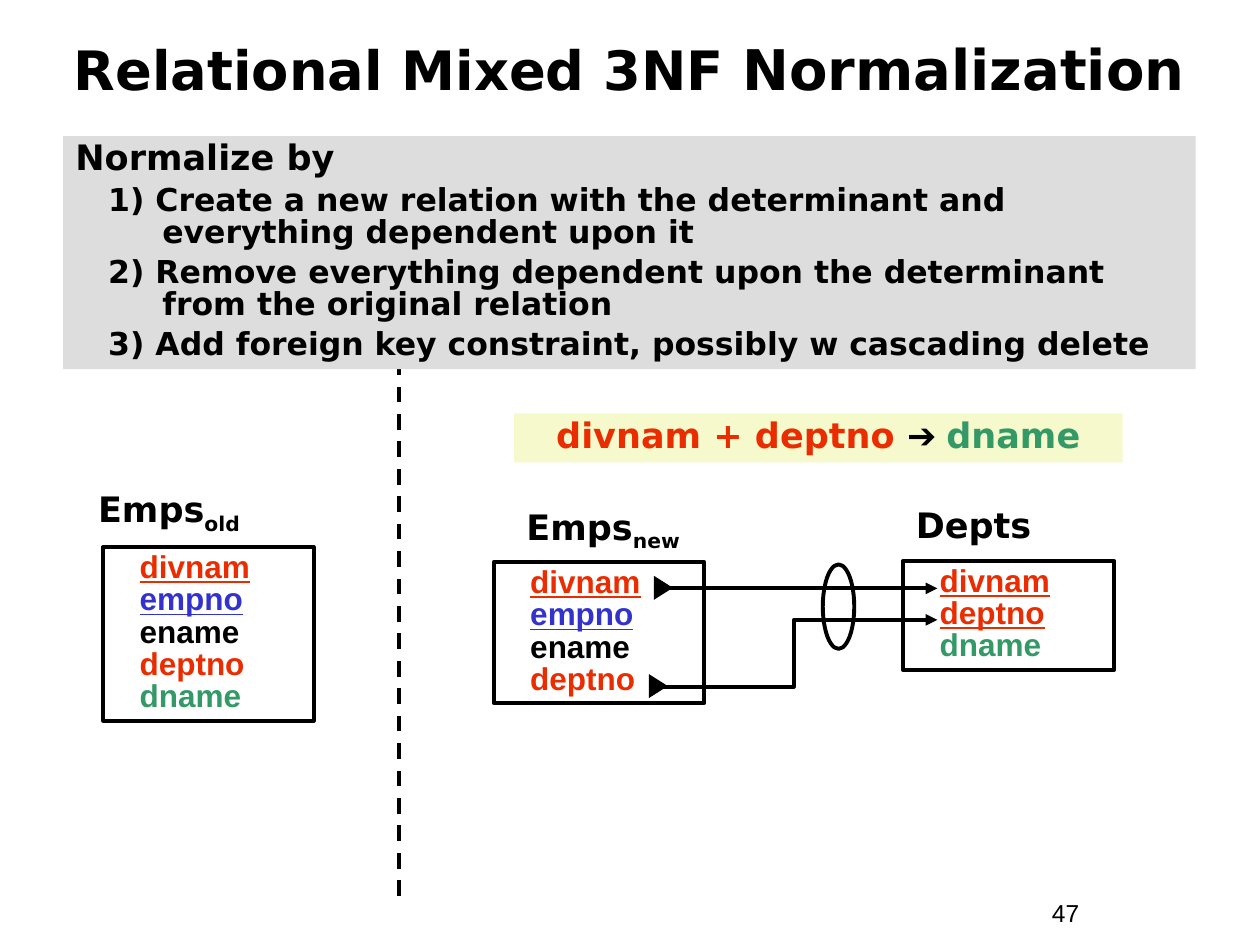
import pptx
import pptx.util
import pptx.dml.color
import pptx.enum.dml
import pptx.enum.shapes
import pptx.enum.text
import pptx.oxml

Inches = pptx.util.Inches
Pt = pptx.util.Pt
SHAPE = pptx.enum.shapes.MSO_SHAPE
CONNECTOR = pptx.enum.shapes.MSO_CONNECTOR
ANCHOR = pptx.enum.text.MSO_ANCHOR
ALIGN = pptx.enum.text.PP_ALIGN

HEADING_FONT, FIELD_FONT = "DejaVu Sans", "Arial"
BLACK, RED, BLUE, GREEN = "000000", "EA2D00", "3333CC", "339966"
LINE_WIDTH = 2.24
TIGHT = 0.85

# Each field: name, colour, whether it belongs to the key
DIVNAM = ("divnam", RED, True)
EMPNO = ("empno", BLUE, True)
ENAME = ("ename", BLACK, False)
DEPTNO = ("deptno", RED, False)
DEPTNO_KEY = ("deptno", RED, True)
DNAME = ("dname", GREEN, False)


def color(hex_value):
    return pptx.dml.color.RGBColor.from_string(hex_value)


def add_run(paragraph, text, size=18, font=HEADING_FONT, fill=BLACK,
            bold=True, underline=False, baseline=None):
    run = paragraph.add_run()
    run.text = text
    run.font.size = Pt(size)
    run.font.name = font
    run.font.bold = bold
    run.font.underline = underline
    run.font.color.rgb = color(fill)
    if baseline is not None:
        run.font._element.set("baseline", str(baseline * 1000))


def add_paragraph(frame, runs, align=ALIGN.LEFT, spacing=1.0, before=0,
                  margin=0, indent=0):
    """Runs are (text, format) pairs; the first call fills the empty paragraph."""
    first = frame.paragraphs[0]
    paragraph = frame.add_paragraph() if first.runs else first
    paragraph.alignment = align
    paragraph.line_spacing = spacing
    paragraph.space_before = Pt(before)
    properties = paragraph._p.get_or_add_pPr()
    properties.set("marL", str(Inches(margin)))
    properties.set("indent", str(Inches(indent)))
    for text, style in runs:
        add_run(paragraph, text, **style)


def prepare_frame(shape, anchor=ANCHOR.TOP):
    frame = shape.text_frame
    frame.word_wrap = True
    frame.vertical_anchor = anchor
    return frame


def add_label(slide, left, top, width, height, runs, anchor=ANCHOR.TOP, **layout):
    label = slide.shapes.add_textbox(*map(Inches, (left, top, width, height)))
    add_paragraph(prepare_frame(label, anchor), runs, **layout)


def add_figure(slide, kind, left, top, width, height, fill=None, outlined=False):
    figure = slide.shapes.add_shape(kind, *map(Inches, (left, top, width, height)))
    figure.shadow.inherit = False
    if fill:
        figure.fill.solid()
        figure.fill.fore_color.rgb = color(fill)
    else:
        figure.fill.background()
    if outlined:
        figure.line.color.rgb = color(BLACK)
        figure.line.width = Pt(LINE_WIDTH)
    else:
        figure.line.fill.background()
    return figure


def add_relation(slide, left, top, height, fields):
    box = add_figure(slide, SHAPE.RECTANGLE, left, top, 1.67, height, outlined=True)
    frame = prepare_frame(box)
    for name, fill, is_key in fields:
        style = dict(font=FIELD_FONT, fill=fill, underline=is_key)
        add_paragraph(frame, [(name, style)], spacing=TIGHT, margin=0.19)


def add_line(slide, kind, start, end, dashed=False, arrow=False):
    line = slide.shapes.add_connector(kind, *map(Inches, start + end))
    line.line.color.rgb = color(BLACK)
    line.line.width = Pt(LINE_WIDTH)
    if dashed:
        line.line.dash_style = pptx.enum.dml.MSO_LINE.DASH
    namespace = 'xmlns:a="http://schemas.openxmlformats.org/drawingml/2006/main"'
    if arrow:
        line.line._get_or_add_ln().append(
            pptx.oxml.parse_xml(f'<a:tailEnd {namespace} type="triangle"/>'))
    line._element.spPr.append(pptx.oxml.parse_xml(f"<a:effectLst {namespace}/>"))


def add_steps(slide):
    panel = add_figure(slide, SHAPE.RECTANGLE, 0.5, 1.08, 8.99, 1.85, fill="DDDDDD")
    frame = prepare_frame(panel)
    add_paragraph(frame, [("Normalize by", dict(size=20))], spacing=TIGHT, before=5)
    steps = [
        "1) Create a new relation with the determinant and everything dependent upon it",
        "2) Remove everything dependent upon the determinant from the original relation",
        "3) Add foreign key constraint, possibly w cascading delete",
    ]
    for step in steps:
        add_paragraph(frame, [(step, {})], spacing=TIGHT, before=4.5,
                      margin=0.69, indent=-0.43)


def add_dependency(slide):
    banner = add_figure(slide, SHAPE.RECTANGLE, 4.08, 3.28, 4.83, 0.39, fill="F6F9CB")
    runs = [("divnam + deptno ", dict(size=20, fill=RED)),
            ("\u2794 ", dict(size=20, font=FIELD_FONT)),
            ("dname", dict(size=20, fill=GREEN))]
    add_paragraph(prepare_frame(banner), runs, align=ALIGN.CENTER,
                  spacing=TIGHT, before=12.5)


def add_foreign_key(slide):
    add_line(slide, CONNECTOR.ELBOW, (5.21, 4.67), (7.44, 4.67), arrow=True)
    add_line(slide, CONNECTOR.ELBOW, (5.16, 5.45), (7.44, 4.92), arrow=True)
    add_figure(slide, SHAPE.OVAL, 6.53, 4.48, 0.25, 0.67, outlined=True)
    for left, top in ((5.13, 5.37), (5.17, 4.59)):
        marker = add_figure(slide, SHAPE.ISOSCELES_TRIANGLE, left, top, 0.19, 0.15,
                            fill=BLACK)
        marker.rotation = 90


def main():
    deck = pptx.Presentation()
    deck.slide_width, deck.slide_height = Inches(10), Inches(7.5)
    slide = deck.slides.add_slide(deck.slide_layouts[6])

    # Page number and title
    add_label(slide, 8.25, 7.08, 0.92, 0.34,
              [("47", dict(size=14, font=FIELD_FONT, bold=False))], before=8.8)
    add_label(slide, 0.33, 0.17, 9.33, 0.83,
              [("Relational Mixed 3NF ", dict(size=31)),
               ("Normalization", dict(size=32))],
              anchor=ANCHOR.MIDDLE, align=ALIGN.CENTER, spacing=TIGHT)

    # Relations with their headings
    heading = dict(size=20)
    add_label(slide, 7.17, 3.95, 1.67, 0.44, [("Depts", heading)])
    add_relation(slide, 7.17, 4.45, 0.87, [DIVNAM, DEPTNO_KEY, DNAME])
    for left, top, width, version in ((4.08, 3.96, 1.5, "new"), (0.68, 3.82, 2.4, "old")):
        add_label(slide, left, top, width, 0.48,
                  [("Emps", heading), (version, dict(size=20, baseline=-25))])
    add_relation(slide, 3.92, 4.46, 1.12, [DIVNAM, EMPNO, ENAME, DEPTNO])
    add_relation(slide, 0.82, 4.34, 1.38, [DIVNAM, EMPNO, ENAME, DEPTNO, DNAME])

    # Divider between before and after, partly under the steps
    add_line(slide, CONNECTOR.STRAIGHT, (3.17, 2.85), (3.17, 7.18), dashed=True)
    add_steps(slide)

    # Foreign key and the dependency behind it
    add_foreign_key(slide)
    add_dependency(slide)

    deck.save("out.pptx")


main()
